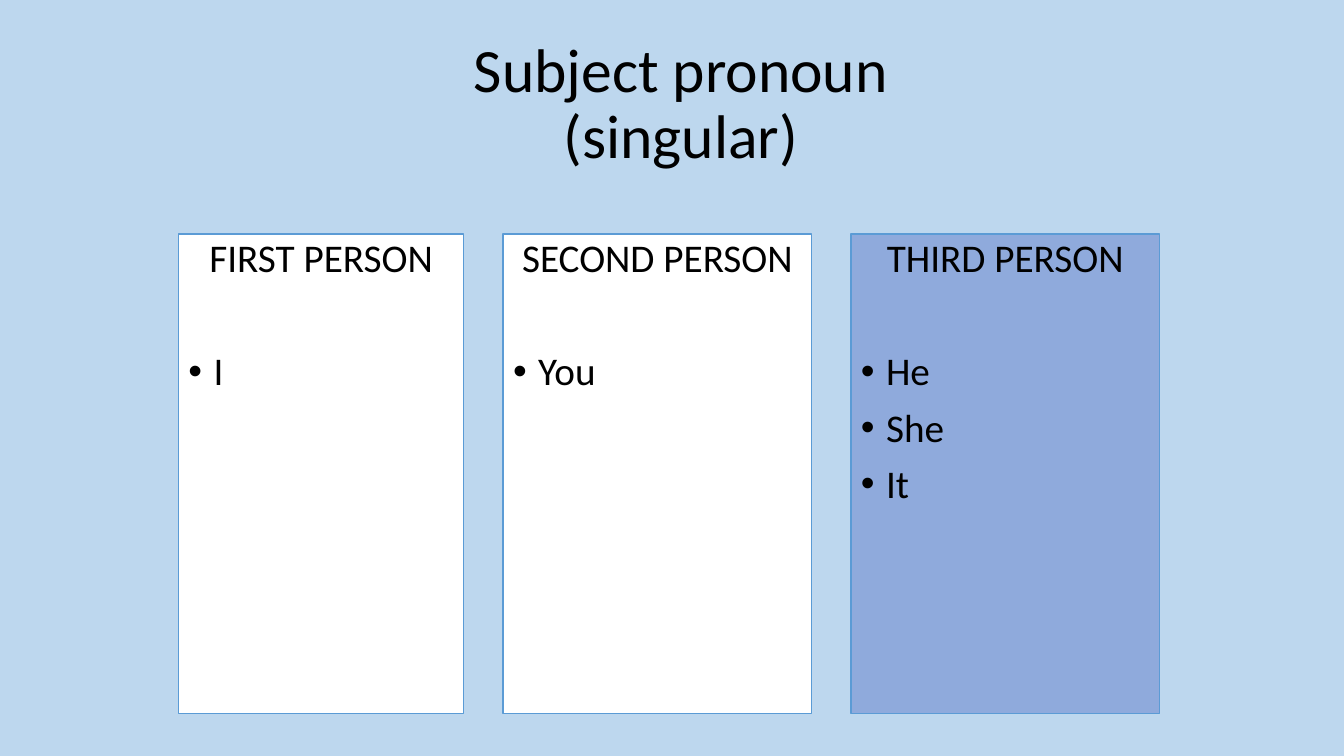
import pptx
import pptx.dml.color
import pptx.enum.shapes
import pptx.enum.text
import pptx.oxml.ns
import pptx.util
import lxml.etree

Inches = pptx.util.Inches
Pt = pptx.util.Pt
ALIGN = pptx.enum.text.PP_ALIGN
ANCHOR = pptx.enum.text.MSO_ANCHOR

COLOURS = {
    "page": "BDD7EE",
    "card": "FFFFFF",
    "highlight": "8FAADC",
    "outline": "5B9BD5",
    "text": "000000",
}
FONT = "Calibri"
COLUMNS = [
    ("FIRST PERSON", ["I"], 2.83, "card"),
    ("SECOND PERSON", ["You"], 3.06, "card"),
    ("THIRD PERSON", ["He", "She", "It"], 3.06, "highlight"),
]
COLUMN_GAP = 0.39
LINE_GAP = 10
LIST_GAP = 50.5


def colour(name):
    """Return the named colour as an RGB value."""
    return pptx.dml.color.RGBColor.from_string(COLOURS[name])


def write(para, text, size, align, before=0):
    """Write one run of text into a paragraph and set its layout."""
    para.alignment = align
    para.line_spacing = 0.9
    para.space_before = Pt(before)
    span = para.add_run()
    span.text = text
    span.font.name = FONT
    span.font.size = Pt(size)
    span.font.color.rgb = colour("text")


def add_bullet(para):
    """Give a paragraph a round bullet with a hanging indent."""
    properties = para._p.get_or_add_pPr()
    properties.set("marL", str(Inches(0.25)))
    properties.set("indent", str(Inches(-0.25)))
    font = lxml.etree.SubElement(properties, pptx.oxml.ns.qn("a:buFont"))
    font.set("typeface", "Arial")
    bullet = lxml.etree.SubElement(properties, pptx.oxml.ns.qn("a:buChar"))
    bullet.set("char", "•")


def add_title(page, left, top, width, height):
    """Place the centred title in the given box."""
    box = page.shapes.add_textbox(
        Inches(left), Inches(top), Inches(width), Inches(height))
    frame = box.text_frame
    frame.word_wrap = True
    frame.vertical_anchor = ANCHOR.MIDDLE
    write(frame.paragraphs[0], "Subject pronoun (singular)", 44, ALIGN.CENTER)


def add_column(page, left, top, width, height, heading, pronouns, fill):
    """Place one card with a heading and its bulleted pronouns."""
    card = page.shapes.add_shape(
        pptx.enum.shapes.MSO_SHAPE.RECTANGLE,
        Inches(left), Inches(top), Inches(width), Inches(height))
    card.shadow.inherit = False
    card.fill.solid()
    card.fill.fore_color.rgb = colour(fill)
    card.line.color.rgb = colour("outline")
    card.line.width = Pt(1)
    frame = card.text_frame
    frame.word_wrap = True
    frame.vertical_anchor = ANCHOR.TOP
    write(frame.paragraphs[0], heading, 28, ALIGN.CENTER, LINE_GAP)
    for index, pronoun in enumerate(pronouns):
        para = frame.add_paragraph()
        before = LINE_GAP if index else LIST_GAP
        write(para, pronoun, 28, ALIGN.LEFT, before)
        add_bullet(para)


def add_columns(page, left, top, height):
    """Place the cards side by side with equal gaps."""
    for heading, pronouns, width, fill in COLUMNS:
        add_column(page, left, top, width, height, heading, pronouns, fill)
        left += width + COLUMN_GAP


def main():
    """Build the slide and save it."""
    deck = pptx.Presentation()
    deck.slide_width = Inches(13.33)
    deck.slide_height = Inches(7.5)
    page = deck.slides.add_slide(deck.slide_layouts[6])
    page.background.fill.solid()
    page.background.fill.fore_color.rgb = colour("page")
    add_title(page, 4.04, 0.32, 5.43, 1.45)
    add_columns(page, 1.77, 2.32, 4.76)
    deck.save("out.pptx")


if __name__ == "__main__":
    main()
